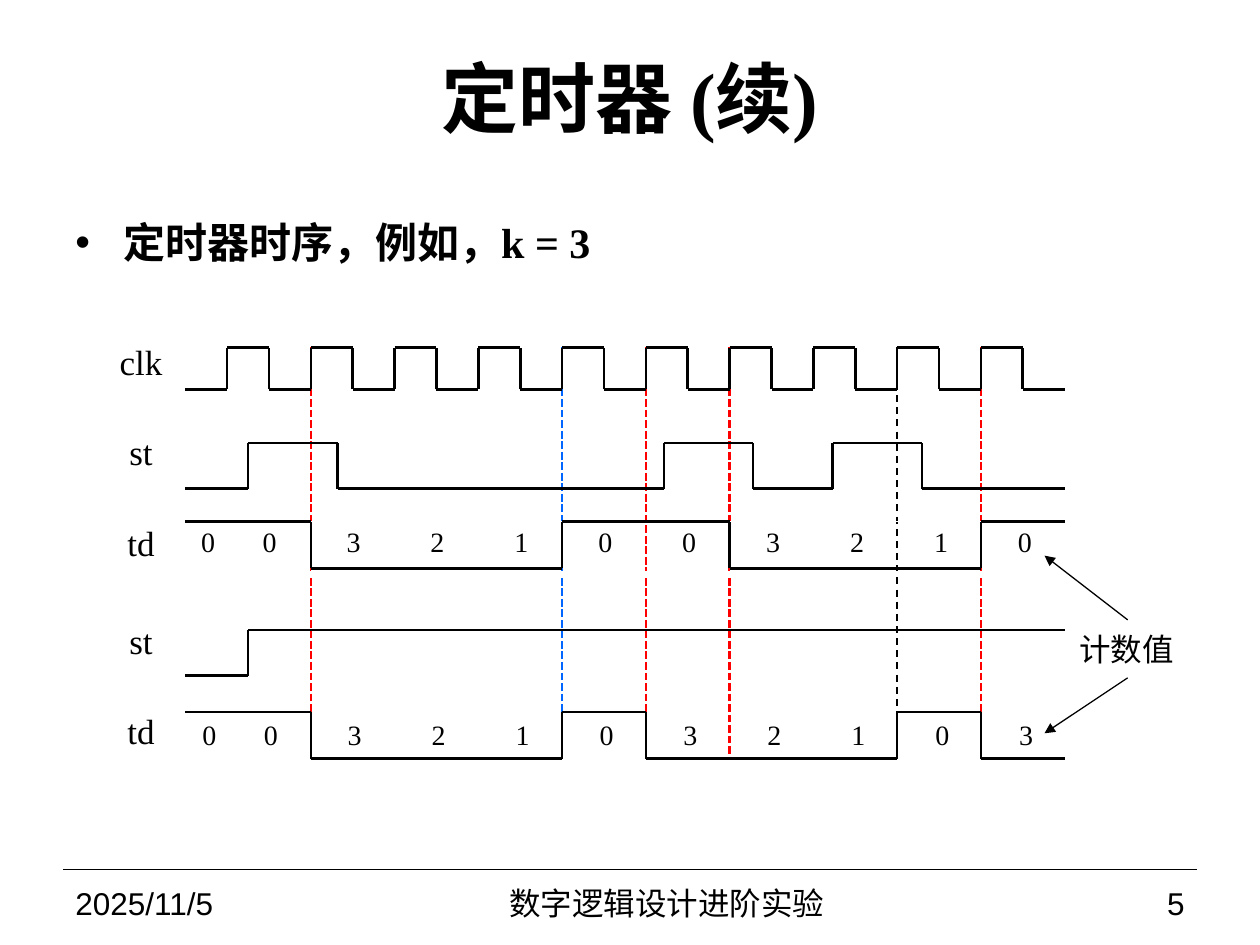
from dataclasses import dataclass
from itertools import pairwise

from lxml.etree import SubElement
from pptx import Presentation
from pptx.dml.color import RGBColor
from pptx.enum.dml import MSO_LINE_DASH_STYLE as Dash
from pptx.enum.shapes import MSO_CONNECTOR as Link
from pptx.enum.text import MSO_ANCHOR as Anchor, PP_ALIGN as Align
from pptx.oxml.ns import qn
from pptx.util import Emu, Inches, Pt

BLACK = RGBColor(0, 0, 0)
RED = RGBColor(255, 0, 0)
BLUE = RGBColor(0, 102, 255)
SERIF = "Times New Roman"
SANS = "Arial"

# Places are percent of the slide's width and height.
# Times are beats: half clock cycles across the chart.
START, SPAN, BEATS = 14.7, 69.8, 21
DASH_TOP, DASH_END = 36.67, 80.13

deck = Presentation()
deck.slide_width, deck.slide_height = Inches(10), Inches(7.5)
slide = deck.slides.add_slide(deck.slide_layouts[6])


@dataclass(frozen=True)
class Wave:
    """A signal that starts at level `high` and flips at each of `flips`."""
    name: str
    label: float
    top: float
    base: float
    high: bool
    flips: tuple[float, ...]


@dataclass(frozen=True)
class Mark:
    beat: int
    color: RGBColor
    width: float = 1.5
    dash: Dash = Dash.SQUARE_DOT


@dataclass(frozen=True)
class Count:
    left: float
    top: float
    digits: str


CLOCK = Wave("clk", 36, 36.8, 41.2, False, tuple(range(1, BEATS)))
WAVES = (
    Wave("st", 45.6, 46.9, 51.7, False,
         (1.5, 3.64, 11.43, 13.56, 15.46, 17.59)),
    Wave("td", 55.2, 55.2, 60.13, True, (3, 9, 13, 19)),
    Wave("st", 65.6, 66.67, 71.5, False, (1.5,)),
    Wave("td", 75.07, 75.33, 80.27, True, (3, 9, 11, 17, 19)),
)
MARKS = (
    Mark(13, RED), Mark(9, BLUE), Mark(3, RED), Mark(19, RED), Mark(11, RED),
    Mark(17, BLACK, 1, Dash.DASH),
)
COUNTS = (Count(11.4, 55.2, "00321003210"), Count(11.5, 75.6, "00321032103"))


def across(share: float) -> Emu:
    return Emu(round(deck.slide_width * share / 100))


def down(share: float) -> Emu:
    return Emu(round(deck.slide_height * share / 100))


def at_beat(beat: float) -> float:
    return START + SPAN * beat / BEATS


def draw_line(x1: float, y1: float, x2: float, y2: float, *,
              color: RGBColor = BLACK, width: float = 1.5,
              dash: Dash | None = None, arrow: bool = False) -> None:
    line = slide.shapes.add_connector(
        Link.STRAIGHT, across(x1), down(y1), across(x2), down(y2))
    line.line.color.rgb = color
    line.line.width = Pt(width)
    if dash is not None:
        line.line.dash_style = dash
    props = line._element.spPr
    if arrow:
        SubElement(props.find(qn("a:ln")), qn("a:tailEnd"), type="triangle")
    SubElement(props, qn("a:effectLst"))


def write(frame, text: str, *, size: float, font: str = SERIF,
          bold: bool = False, align: Align = Align.LEFT,
          bullet: bool = False) -> None:
    para = frame.paragraphs[0]
    para.alignment = align
    if bullet:
        props = para._p.get_or_add_pPr()
        hang = Inches(0.38)
        props.set("marL", str(hang))
        props.set("indent", str(-hang))
        SubElement(props, qn("a:buFont"), typeface=SANS)
        SubElement(props, qn("a:buChar"), char="•")
    run = para.add_run()
    run.text = text
    run.font.size, run.font.name, run.font.bold = Pt(size), font, bold
    run.font.color.rgb = BLACK


def add_text(text: str, left: float, top: float, width: float, height: float,
             *, anchor: Anchor = Anchor.MIDDLE, tight: bool = False,
             **style) -> None:
    """Add a text box; a tight one has no margins and does not wrap."""
    box = slide.shapes.add_textbox(
        across(left), down(top), across(width), down(height))
    frame = box.text_frame
    frame.word_wrap = not tight
    frame.vertical_anchor = anchor
    if tight:
        frame.margin_left = frame.margin_right = 0
        frame.margin_top = frame.margin_bottom = 0
    write(frame, text, **style)


def draw_wave(wave: Wave) -> None:
    high = wave.high
    for start, end in pairwise((0, *wave.flips, BEATS)):
        level = wave.top if high else wave.base
        draw_line(at_beat(start), level, at_beat(end), level)
        high = not high
    for flip in wave.flips:
        draw_line(at_beat(flip), wave.base, at_beat(flip), wave.top)


def add_label(wave: Wave) -> None:
    add_text(wave.name, 9.5, wave.label, 3.4, 4.53, anchor=Anchor.TOP,
             tight=True, size=20, align=Align.CENTER)


def edge_cell(cell) -> None:
    """Give a cell white borders, the bottom one thicker."""
    props = cell._tc.get_or_add_tcPr()
    for side, width in (("L", 1), ("R", 1), ("T", 1), ("B", 3)):
        edge = SubElement(props, qn(f"a:ln{side}"), w=str(Pt(width)))
        fill = SubElement(edge, qn("a:solidFill"))
        SubElement(fill, qn("a:srgbClr"), val="FFFFFF")


def add_count(count: Count) -> None:
    total = len(count.digits)
    table = slide.shapes.add_table(
        1, total, across(count.left), down(count.top),
        across(73.3), down(5.47)).table
    table.first_row = table.horz_banding = False
    for col, digit in enumerate(count.digits):
        cell = table.cell(0, col)
        edge_cell(cell)
        cell.fill.background()
        write(cell.text_frame, digit, size=16,
              align=Align.CENTER if col else Align.RIGHT)


def main() -> None:
    draw_line(5, 92, 95, 92, width=0.75)
    for mark in MARKS:
        spot = at_beat(mark.beat)
        draw_line(spot, DASH_TOP, spot, DASH_END, color=mark.color,
                  width=mark.width, dash=mark.dash)
    draw_wave(CLOCK)
    add_text("定时器 (续)", 5, 4, 90, 12.4, size=44, bold=True,
             align=Align.CENTER)
    for count in COUNTS:
        add_count(count)
    for wave in WAVES:
        draw_wave(wave)
    add_text("计数值", 84.8, 65.6, 9.2, 6.13, tight=True, size=18, font=SANS,
             align=Align.CENTER)
    for start, end in ((65.6, 58.8), (71.73, 77.6)):
        draw_line(89.5, start, 82.9, end, width=0.75, arrow=True)
    add_text("定时器时序，例如，k = 3", 5, 22.27, 51.4, 18.4,
             anchor=Anchor.TOP, size=24, bold=True, bullet=True)
    for wave in (CLOCK, *WAVES):
        add_label(wave)
    for text, left, width, align in (
            ("2025/11/5", 5, 23.3, Align.LEFT),
            ("数字逻辑设计进阶实验", 28.3, 49.2, Align.CENTER),
            ("5", 77.5, 17.5, Align.RIGHT)):
        add_text(text, left, 93.07, width, 4.93, size=18, font=SANS,
                 align=align)
    deck.save("out.pptx")


if __name__ == "__main__":
    main()
